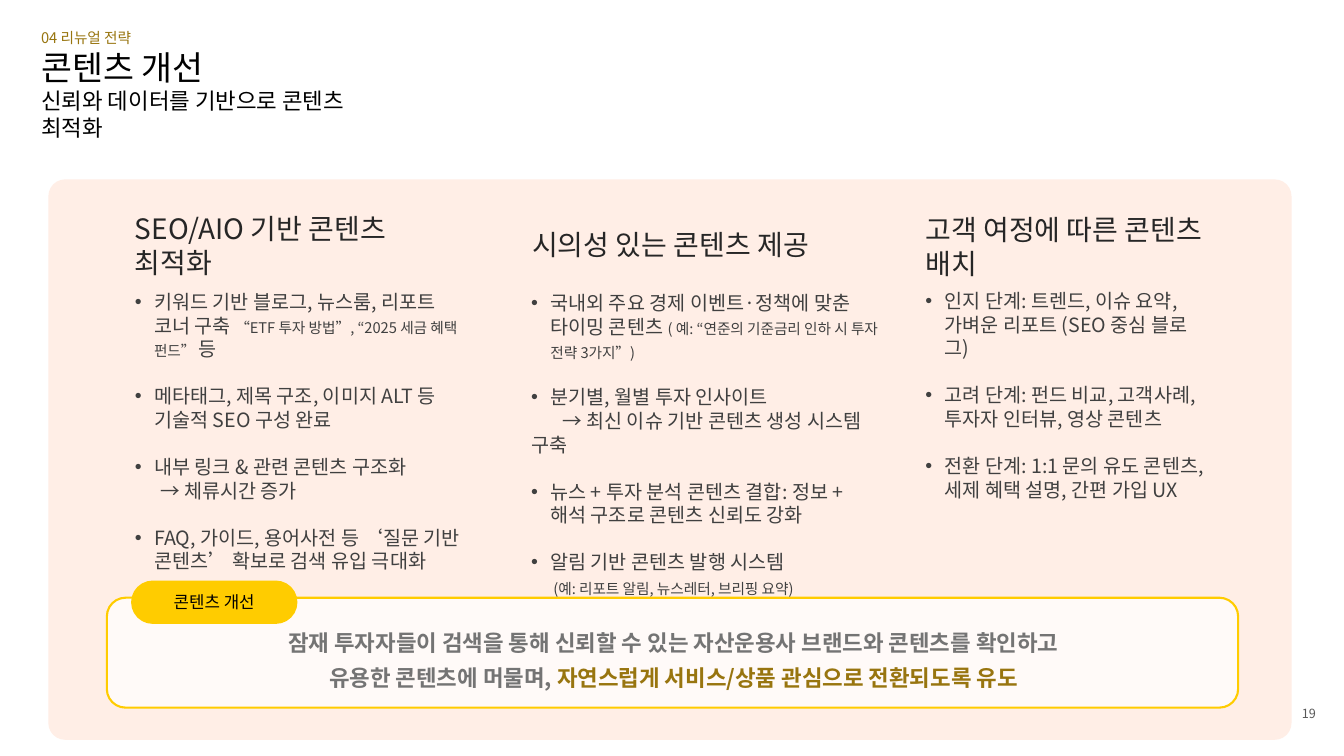
from dataclasses import dataclass

from lxml import etree
from pptx import Presentation
from pptx import util as u
from pptx.dml.color import RGBColor
from pptx.enum import shapes, text
from pptx.oxml.ns import qn

PX = 9144


@dataclass(frozen=True)
class Theme:
    font: str = "Noto Sans CJK KR"
    black: str = "000000"
    heading: str = "262626"
    body: str = "404040"
    muted: str = "747474"
    page: str = "595959"
    gold: str = "98750F"
    yellow: str = "FFCC00"
    peach: str = "FFDDCC"
    white: str = "FFFFFF"
    title_size: float = 24
    heading_size: float = 20
    lead_size: float = 16
    body_size: float = 14
    label_size: float = 12
    small_size: float = 10.5
    page_size: float = 9
    leading: float = 1.2


T = Theme()

COLUMNS = [
    ((124, 216, 329, 55), (124, 283, 354, 162), "SEO/AIO 기반 콘텐츠 최적화", [
        ("bullet", [("키워드 기반 블로그, 뉴스룸, 리포트 코너 구축 ", T.body_size),
                    ("“ETF 투자 방법”, “2025 세금 혜택 펀드” ", T.small_size),
                    ("등", T.body_size)]),
        ("bullet", [("메타태그, 제목 구조, 이미지 ALT 등 기술적 SEO 구성 완료", T.body_size)]),
        ("bullet", [("내부 링크 & 관련 콘텐츠 구조화", T.body_size)]),
        (25, [("→ 체류시간 증가", T.body_size)]),
        ("bullet", [("FAQ, 가이드, 용어사전 등 ‘질문 기반 콘텐츠’ 확보로 검색 유입 극대화", T.body_size)]),
    ]),
    ((518, 215, 336, 55), (517, 284, 365, 162), "시의성 있는 콘텐츠 제공", [
        ("bullet", [("국내외 주요 경제 이벤트·정책에 맞춘 타이밍 콘텐츠 ", T.body_size),
                    ("( 예: “연준의 기준금리 인하 시 투자 전략 3가지”)", T.small_size)]),
        ("bullet", [("분기별, 월별 투자 인사이트", T.body_size)]),
        (31, [("→ 최신 이슈 기반 콘텐츠 생성 시스템 구축", T.body_size)]),
        ("bullet", [("뉴스 + 투자 분석 콘텐츠 결합: 정보 + 해석 구조로 콘텐츠 신뢰도 강화", T.body_size)]),
        ("bullet", [("알림 기반 콘텐츠 발행 시스템", T.body_size)]),
        (22, [("(예: 리포트 알림, 뉴스레터, 브리핑 요약)", T.small_size)]),
    ]),
    ((908, 217, 318, 55), (908, 282, 302, 162), "고객 여정에 따른 콘텐츠 배치", [
        ("bullet", [("인지 단계: 트렌드, 이슈 요약, 가벼운 리포트 (SEO 중심 블로그)", T.body_size)]),
        ("bullet", [("고려 단계: 펀드 비교, 고객사례, 투자자 인터뷰, 영상 콘텐츠", T.body_size)]),
        ("bullet", [("전환 단계: 1:1 문의 유도 콘텐츠, 세제 혜택 설명, 간편 가입 UX", T.body_size)]),
    ]),
]


def emu(box):
    return [u.Emu(v * PX) for v in box]


def add_run(paragraph, words, size, color, bold=False):
    run = paragraph.add_run()
    run.text = words
    font = run.font
    font.size, font.bold, font.name = u.Pt(size), bold, T.font
    font.color.rgb = RGBColor.from_string(color)
    etree.SubElement(run._r.get_or_add_rPr(), qn("a:ea"), typeface=T.font)


def set_lines(paragraph, size, align=text.PP_ALIGN.LEFT, stretch=1.0):
    paragraph.alignment = align
    paragraph.line_spacing = u.Pt(round(size * T.leading * stretch, 1))
    paragraph.space_before = u.Pt(0)


def text_frame(slide, box, anchor=text.MSO_ANCHOR.MIDDLE):
    frame = slide.shapes.add_textbox(*emu(box)).text_frame
    frame.word_wrap = True
    frame.vertical_anchor = anchor
    return frame


def label(slide, box, words, size, color, align=text.PP_ALIGN.LEFT,
          anchor=text.MSO_ANCHOR.MIDDLE):
    paragraph = text_frame(slide, box, anchor).paragraphs[0]
    set_lines(paragraph, size, align)
    add_run(paragraph, words, size, color)


def rounded(slide, box, fill, adjust, opacity=100, line=None):
    panel = slide.shapes.add_shape(shapes.MSO_SHAPE.ROUNDED_RECTANGLE, *emu(box))
    panel.shadow.inherit = False
    panel.adjustments[0] = adjust
    panel.fill.solid()
    panel.fill.fore_color.rgb = RGBColor.from_string(fill)
    if opacity < 100:
        color = panel.fill._xPr.find(qn("a:solidFill"))[0]
        etree.SubElement(color, qn("a:alpha"), val=str(opacity * 1000))
    if line:
        panel.line.color.rgb = RGBColor.from_string(line)
        panel.line.width = u.Pt(1.5)
    else:
        panel.line.fill.background()
    return panel


def header(slide, box):
    left, top, width, height = box
    label(slide, (left, top - 56, 216, 55), "04 리뉴얼 전략", T.small_size, T.gold)
    title = slide.shapes.title
    title.left, title.top, title.width, title.height = emu(box)
    frame = title.text_frame
    frame.word_wrap = True
    frame.auto_size = text.MSO_AUTO_SIZE.NONE
    frame.vertical_anchor = text.MSO_ANCHOR.MIDDLE
    name, subtitle = frame.paragraphs[0], frame.add_paragraph()
    set_lines(name, T.title_size)
    add_run(name, "콘텐츠 개선", T.title_size, T.black)
    set_lines(subtitle, T.lead_size)
    add_run(subtitle, "신뢰와 데이터를 기반으로 콘텐츠 최적화", T.lead_size, T.black)


def strategy_column(slide, heading_box, body_box, heading, items):
    label(slide, heading_box, heading, T.heading_size, T.heading)
    frame = text_frame(slide, body_box, text.MSO_ANCHOR.TOP)
    for i, (kind, runs) in enumerate(items):
        paragraph = frame.add_paragraph() if i else frame.paragraphs[0]
        set_lines(paragraph, T.body_size)
        props = paragraph._p.get_or_add_pPr()
        if kind == "bullet":
            props.set("marL", str(19 * PX))
            props.set("indent", str(-19 * PX))
            etree.SubElement(props, qn("a:buFont"), typeface="Arial")
            etree.SubElement(props, qn("a:buChar"), char="•")
            if i:
                paragraph.space_before = u.Pt(T.body_size * T.leading)
        else:
            props.set("indent", str(kind * PX))
        for words, size in runs:
            add_run(paragraph, words, size, T.body)


def conclusion(slide, box):
    left, top, width, height = box
    rounded(slide, box, T.white, 0.17, 73, T.yellow)
    tag = rounded(slide, (left + 24, top - 17, 165, 43), T.yellow, 0.5)
    tag.text_frame.vertical_anchor = text.MSO_ANCHOR.MIDDLE
    tag_line = tag.text_frame.paragraphs[0]
    set_lines(tag_line, T.label_size, text.PP_ALIGN.CENTER)
    add_run(tag_line, "콘텐츠 개선", T.label_size, T.black)
    message = text_frame(slide, (left + 100, top + 30, 924, 55)).paragraphs[0]
    set_lines(message, T.lead_size, text.PP_ALIGN.CENTER, 1.3)
    add_run(message, "잠재 투자자들이 검색을 통해 신뢰할 수 있는 자산운용사 브랜드와 콘텐츠를 확인하고",
            T.lead_size, T.muted, True)
    message.add_line_break()
    add_run(message, "유용한 콘텐츠에 머물며, ", T.lead_size, T.muted, True)
    add_run(message, "자연스럽게 서비스/상품 관심으로 전환되도록 유도",
            T.lead_size, T.gold, True)


def main():
    deck = Presentation()
    deck.slide_width, deck.slide_height = emu((1333, 750))
    slide = deck.slides.add_slide(deck.slide_layouts[5])
    header(slide, (31, 66, 345, 55))
    label(slide, (1015, 695, 300, 40), "19", T.page_size, T.page,
          text.PP_ALIGN.RIGHT, text.MSO_ANCHOR.TOP)
    rounded(slide, (48, 178, 1233, 556), T.peach, 0.03, 49)
    conclusion(slide, (106, 593, 1122, 109))
    for column in COLUMNS:
        strategy_column(slide, *column)
    deck.save("out.pptx")


if __name__ == "__main__":
    main()
